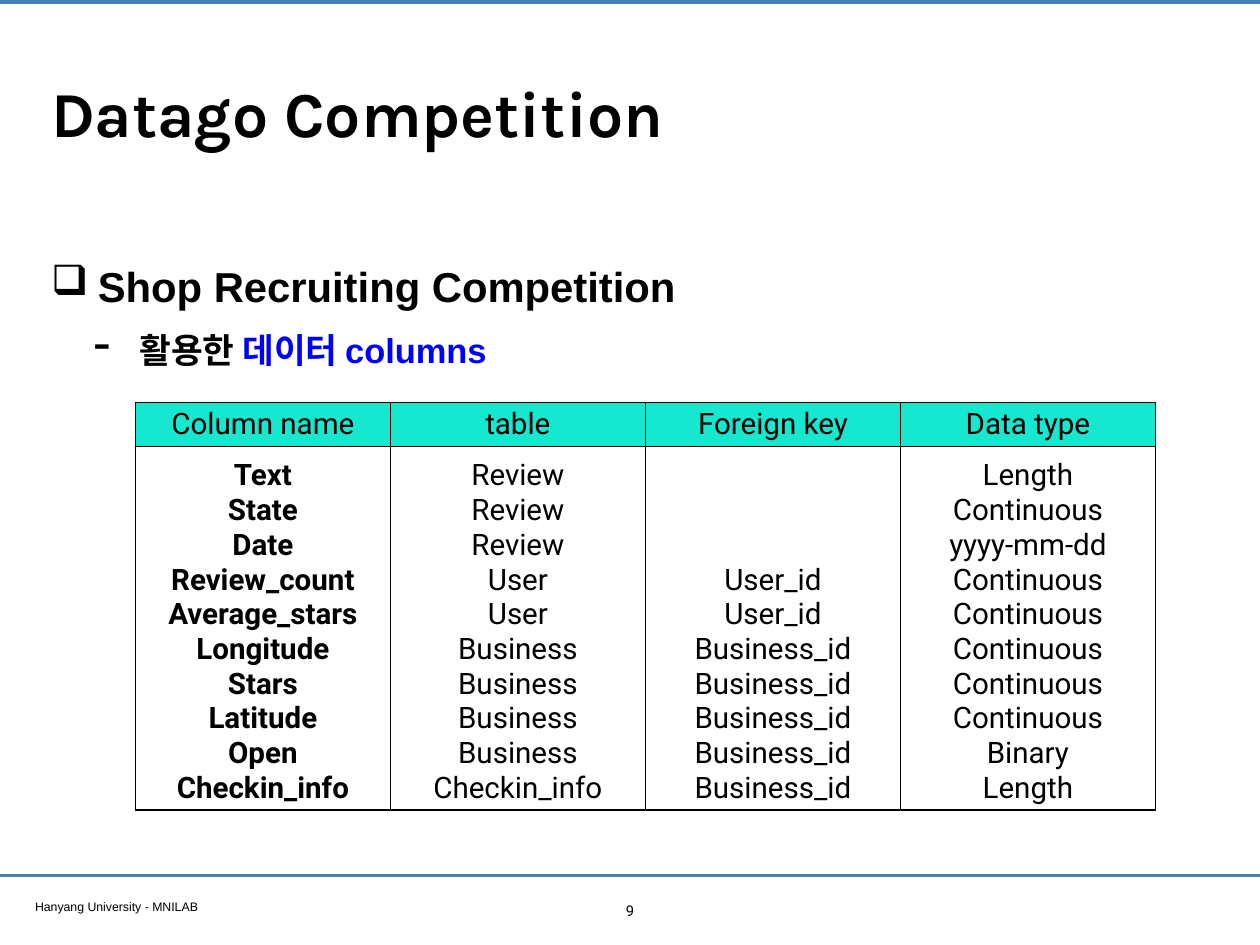
from lxml import etree
from pptx import Presentation
from pptx.dml.color import RGBColor
from pptx.enum.shapes import MSO_CONNECTOR
from pptx.enum.text import MSO_ANCHOR, PP_ALIGN
from pptx.oxml.ns import qn
from pptx.util import Pt

STRAIGHT = MSO_CONNECTOR.STRAIGHT
LEFT, CENTER = PP_ALIGN.LEFT, PP_ALIGN.CENTER
TOP, MIDDLE, BOTTOM = MSO_ANCHOR.TOP, MSO_ANCHOR.MIDDLE, MSO_ANCHOR.BOTTOM

COLORS = {"black": "000000", "rule": "4A7EBB", "accent": "0000FF", "header": "16E7CF"}
PAGE_WIDTH, PAGE_HEIGHT = 1024, 768
INSET = 4.5

TITLE = {"name": "Karla", "size": Pt(52), "bold": True}
HEADING = {"name": "Arial", "size": Pt(34), "bold": True}
SUBHEADING = {"name": "Arial", "size": Pt(28), "bold": True}
FOOTER = {"name": "Arial", "size": Pt(10)}
NUMBER = {"name": "Roboto", "size": Pt(12)}
CELL = {"name": "Roboto", "size": Pt(24), "bold": False}
KEY_CELL = {**CELL, "bold": True}

COLUMNS = {
    "Column name": ["Text", "State", "Date", "Review_count", "Average_stars",
                    "Longitude", "Stars", "Latitude", "Open", "Checkin_info"],
    "table": ["Review"] * 3 + ["User"] * 2 + ["Business"] * 4 + ["Checkin_info"],
    "Foreign key": ["User_id"] * 2 + ["Business_id"] * 5,
    "Data type": ["Length", "Continuous", "yyyy-mm-dd"] + ["Continuous"] * 5
                 + ["Binary", "Length"],
}


def rgb(color):
    return RGBColor.from_string(COLORS[color])


def add_span(para, text, style, color="black"):
    span = para.add_run()
    span.text = text
    for name, value in style.items():
        setattr(span.font, name, value)
    span.font.color.rgb = rgb(color)


def add_frame(page, box, anchor=TOP):
    frame = page.shapes.add_textbox(*map(Pt, box)).text_frame
    frame.word_wrap = True
    frame.vertical_anchor = anchor
    for side in ("left", "top", "right", "bottom"):
        setattr(frame, f"margin_{side}", Pt(INSET))
    return frame


def add_label(page, box, text, style, align=LEFT, anchor=TOP):
    para = add_frame(page, box, anchor).paragraphs[0]
    para.alignment = align
    add_span(para, text, style)


def add_rule(page, top, width):
    rule = page.shapes.add_connector(STRAIGHT, 0, Pt(top), Pt(PAGE_WIDTH), Pt(top))
    rule.line.color.rgb = rgb("rule")
    rule.line.width = Pt(width)
    etree.SubElement(rule._element.spPr, qn("a:effectLst"))


def set_bullet(para, mark, margin, hanging, percent=100):
    props = para._p.get_or_add_pPr()
    props.set("marL", str(Pt(margin)))
    props.set("indent", str(-Pt(hanging)))
    etree.SubElement(props, qn("a:buSzPct"), val=str(percent * 1000))
    etree.SubElement(props, qn("a:buChar"), char=mark)
    para.line_spacing = 1.2


def add_outline(page, box):
    frame = add_frame(page, box)
    heading = frame.paragraphs[0]
    set_bullet(heading, "❑", 38, 38)
    add_span(heading, "Shop Recruiting Competition", HEADING)

    detail = frame.add_paragraph()
    detail.level = 1
    set_bullet(detail, "-", 72, 37.5, 145)
    detail.space_before = Pt(8)
    add_span(detail, "활용한 ", SUBHEADING)
    add_span(detail, "데이터 columns", SUBHEADING, "accent")


def set_borders(cell):
    props = cell._tc.get_or_add_tcPr()
    for index, side in enumerate(("lnL", "lnR", "lnT", "lnB")):
        border = etree.Element(qn(f"a:{side}"), w=str(Pt(1)))
        fill = etree.SubElement(border, qn("a:solidFill"))
        etree.SubElement(fill, qn("a:srgbClr"), val=COLORS["black"])
        props.insert(index, border)


def fill_cell(cell, lines, style, anchor=TOP):
    cell.vertical_anchor = anchor
    frame = cell.text_frame
    for index, line in enumerate(lines):
        para = frame.add_paragraph() if index else frame.paragraphs[0]
        para.alignment = CENTER
        add_span(para, line, style)
    set_borders(cell)


def add_column_table(page, box):
    left, top, width, height = map(Pt, box)
    table = page.shapes.add_table(2, len(COLUMNS), left, top, width, height).table
    table.first_row = table.horz_banding = False
    table.rows[0].height = Pt(35)
    table.rows[1].height = height - Pt(35)
    for index, (name, values) in enumerate(COLUMNS.items()):
        header, body = table.cell(0, index), table.cell(1, index)
        header.fill.solid()
        header.fill.fore_color.rgb = rgb("header")
        body.fill.background()
        fill_cell(header, [name], CELL)
        # The shorter key list lines up with the last rows
        fill_cell(body, values, CELL if index else KEY_CELL, BOTTOM)


def add_page_frame(page, box):
    left, top, width, height = box
    add_rule(page, top + 1.5, 3.2)
    add_rule(page, top + height - 56.5, 2)
    add_label(page, (left + 24, top + height - 41.5, 393, 19),
              "Hanyang University - MNILAB", FOOTER)
    add_label(page, (left + width / 2 - 14, top + height - 39.5, 28, 22),
              "9", NUMBER, CENTER)


def main():
    deck = Presentation()
    deck.slide_width, deck.slide_height = Pt(PAGE_WIDTH), Pt(PAGE_HEIGHT)
    page = deck.slides.add_slide(deck.slide_layouts[6])

    # Rules and footer
    add_page_frame(page, (0, 0, PAGE_WIDTH, PAGE_HEIGHT))
    # Title and outline
    add_label(page, (37, 20, 951, 142), "Datago Competition", TITLE, anchor=MIDDLE)
    add_outline(page, (37, 199.5, 932, 119))
    # Columns in use
    add_column_table(page, (110, 327, 829, 324))

    deck.save("out.pptx")


if __name__ == "__main__":
    main()
